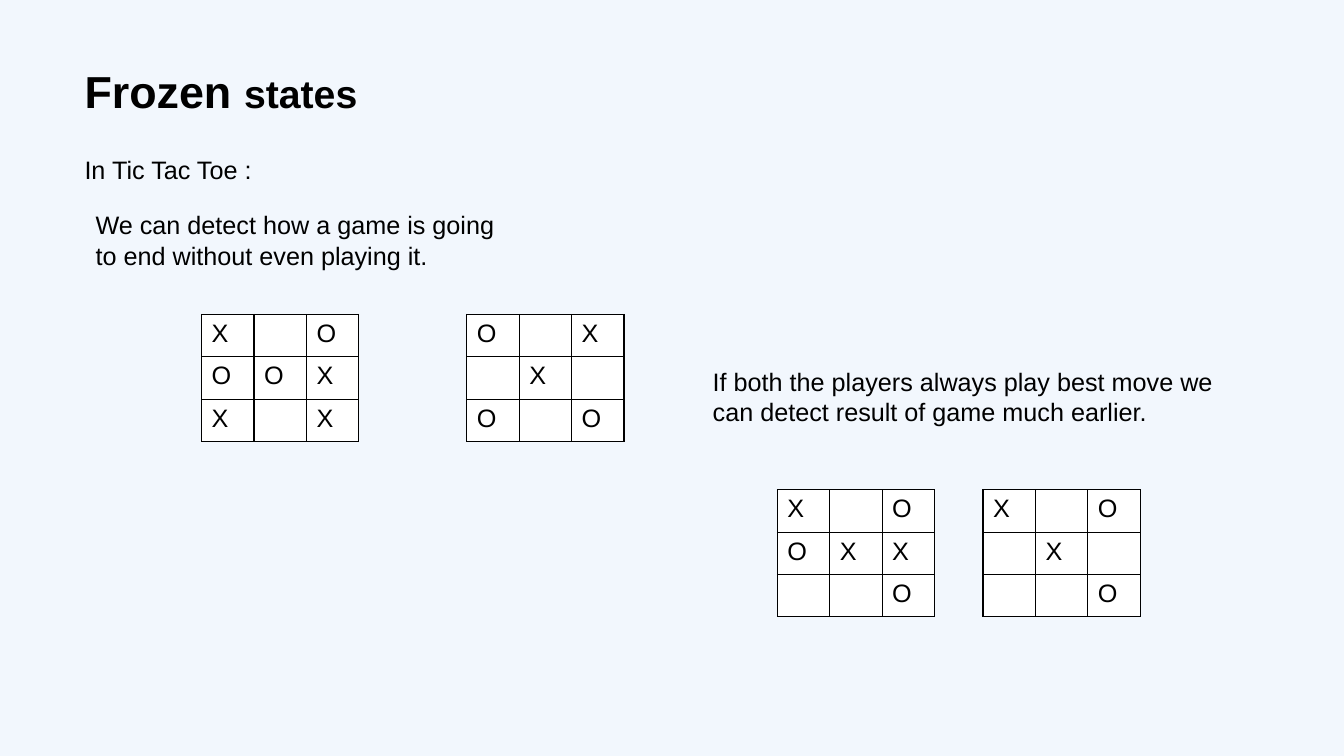
from lxml.etree import SubElement
from pptx import Presentation
from pptx.dml.color import RGBColor
from pptx.enum.shapes import MSO_SHAPE
from pptx.enum.text import MSO_AUTO_SIZE
from pptx.oxml.ns import qn
from pptx.util import Inches, Pt

COLORS = {"backdrop": "F2F7FD", "cell": "FFFFFF", "ink": "000000"}
FONT = "Arial"
BODY_SIZE = 18
CELL_W, CELL_H = 0.52, 0.42


def rgb(name):
    return RGBColor.from_string(COLORS[name])


def add_run(p, text, size=BODY_SIZE, bold=False):
    r = p.add_run()
    r.text = text
    r.font.name = FONT
    r.font.size = Pt(size)
    r.font.bold = bold
    r.font.color.rgb = rgb("ink")


def add_backdrop(s, x, y, w, h):
    sp = s.shapes.add_shape(MSO_SHAPE.RECTANGLE, Inches(x), Inches(y), Inches(w), Inches(h))
    sp.shadow.inherit = False
    sp.fill.solid()
    sp.fill.fore_color.rgb = rgb("backdrop")
    sp.line.fill.background()


def add_text(s, x, y, w, h, runs):
    """Place one paragraph; each run is (text, size, bold)."""
    tf = s.shapes.add_textbox(Inches(x), Inches(y), Inches(w), Inches(h)).text_frame
    tf.word_wrap = True
    tf.auto_size = MSO_AUTO_SIZE.SHAPE_TO_FIT_TEXT
    for run in runs:
        add_run(tf.paragraphs[0], *run)


def add_borders(cell):
    tcPr = cell._tc.get_or_add_tcPr()
    for side in ("a:lnL", "a:lnR", "a:lnT", "a:lnB"):
        ln = SubElement(tcPr, qn(side), w=str(Pt(1)))
        fill = SubElement(ln, qn("a:solidFill"))
        SubElement(fill, qn("a:srgbClr"), val=COLORS["ink"])


def add_board(s, x, y, marks):
    """Draw a game board; marks holds one string per row, a dot for an empty cell."""
    rows, cols = len(marks), len(marks[0])
    table = s.shapes.add_table(rows, cols, Inches(x), Inches(y),
                               Inches(CELL_W * cols), Inches(CELL_H * rows)).table
    table.first_row = table.horz_banding = False
    for column in table.columns:
        column.width = Inches(CELL_W)
    for i, row in enumerate(marks):
        table.rows[i].height = Inches(CELL_H)
        for j, mark in enumerate(row):
            cell = table.cell(i, j)
            add_borders(cell)
            cell.fill.solid()
            cell.fill.fore_color.rgb = rgb("cell")
            if mark != ".":
                add_run(cell.text_frame.paragraphs[0], mark)


def add_heading(s, x, y):
    add_text(s, x, y, 11.85, 0.64, [("Frozen ", 32, True), ("states", 28, True)])
    add_text(s, x, y + 0.9, 11.5, 0.4, [("In Tic Tac Toe :",)])


def add_example(s, x, y, w, text, board_y, boards):
    """Place a statement and, below it, its boards as (left, marks)."""
    add_text(s, x, y, w, 0.71, [(text,)])
    for board_x, marks in boards:
        add_board(s, x + board_x, y + board_y, marks)


def main():
    prs = Presentation()
    prs.slide_width, prs.slide_height = Inches(13.33), Inches(7.5)
    s = prs.slides.add_slide(prs.slide_layouts[6])

    # Backdrop and heading
    add_backdrop(s, 0, -0.01, 13.33, 7.52)
    add_heading(s, 0.74, 0.58)

    # Outcome known without playing on
    add_example(s, 0.85, 2.03, 4.3,
                "We can detect how a game is going to end without even playing it.",
                1.09, [(1.15, ["X.O", "OOX", "X.X"]),
                       (3.78, ["O.X", ".X.", "O.O"])])

    # Outcome known under best play
    add_example(s, 6.97, 3.58, 5.62,
                "If both the players always play best move we can detect "
                "result of game much earlier.",
                1.28, [(0.74, ["X.O", "OXX", "..O"]),
                       (2.78, ["X.O", ".X.", "..O"])])

    prs.save("out.pptx")


if __name__ == "__main__":
    main()
